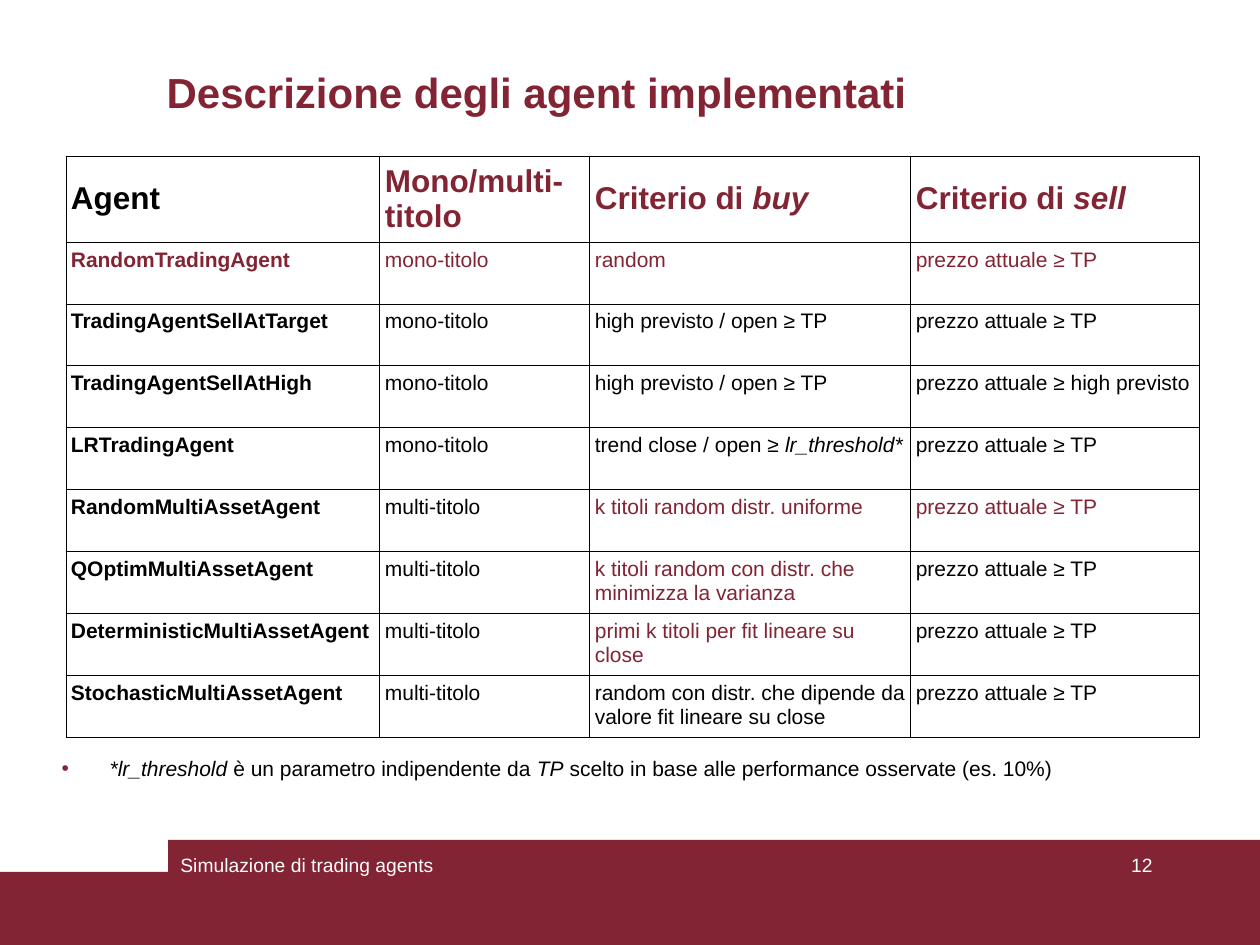
from lxml import etree
from pptx import Presentation
from pptx.dml.color import RGBColor
from pptx.enum.shapes import MSO_SHAPE
from pptx.enum.text import MSO_ANCHOR, MSO_AUTO_SIZE, PP_ALIGN
from pptx.oxml.ns import qn
from pptx.util import Emu, Pt

RECTANGLE = MSO_SHAPE.RECTANGLE
TOP, MIDDLE = MSO_ANCHOR.TOP, MSO_ANCHOR.MIDDLE
LEFT, RIGHT = PP_ALIGN.LEFT, PP_ALIGN.RIGHT
MAROON = RGBColor(0x82, 0x24, 0x33)
BLACK = RGBColor(0, 0, 0)
WHITE = RGBColor(255, 255, 255)

# Content: a bar switches between upright and italic text
TITLE = "Descrizione degli agent implementati"
HEADER = ["Agent", "Mono/multi-titolo", "Criterio di |buy", "Criterio di |sell"]
MONO, MULTI, AT_TARGET = "mono-titolo", "multi-titolo", "prezzo attuale ≥ TP"
HIGH_OPEN = "high previsto / open ≥ TP"
AGENTS = [
    ["RandomTradingAgent", MONO, "random", AT_TARGET],
    ["TradingAgentSellAtTarget", MONO, HIGH_OPEN, AT_TARGET],
    ["TradingAgentSellAtHigh", MONO, HIGH_OPEN, "prezzo attuale ≥ high previsto"],
    ["LRTradingAgent", MONO, "trend close / open ≥ |lr_threshold*", AT_TARGET],
    ["RandomMultiAssetAgent", MULTI, "k titoli random distr. uniforme", AT_TARGET],
    ["QOptimMultiAssetAgent", MULTI,
     "k titoli random con distr. che minimizza la varianza", AT_TARGET],
    ["DeterministicMultiAssetAgent", MULTI,
     "primi k titoli per fit lineare su close", AT_TARGET],
    ["StochasticMultiAssetAgent", MULTI,
     "random con distr. che dipende da valore fit lineare su close", AT_TARGET],
]
MAROON_COLUMNS = {0: (1, 2, 3), 1: (0, 1, 2, 3), 5: (2, 3), 6: (2,), 7: (2,)}
NOTE = ("|*lr_threshold| è un parametro indipendente da |TP"
        "| scelto in base alle performance osservate (es. 10%)")

# Geometry in px
COLUMN_WIDTHS = [314, 210, 321, 289]
HEADER_HEIGHT, AGENT_HEIGHT = 86, 62
BANDS = [(0, 872, 1260, 73), (168, 840, 1092, 105)]
FOOTERS = [("Simulazione di trading agents", (168, 847, 399, 63), LEFT),
           ("12", (903, 847, 262, 63), RIGHT)]


def px(length):
    return Emu(round(length * 914400 / 126))


def place(shape, box):
    for side, length in zip(("left", "top", "width", "height"), box):
        setattr(shape, side, px(length))


def write(frame, text, size, color, bold=False, align=LEFT):
    paragraph = frame.paragraphs[0]
    paragraph.alignment = align
    for index, part in enumerate(text.split("|")):
        if not part:
            continue
        run = paragraph.add_run()
        run.text = part
        style = {"name": "Arial", "size": Pt(size), "bold": bold,
                 "italic": index % 2 == 1}
        for name, value in style.items():
            setattr(run.font, name, value)
        run.font.color.rgb = color


def add_borders(cell):
    properties = cell._tc.get_or_add_tcPr()
    for edge in ("a:lnL", "a:lnR", "a:lnT", "a:lnB"):
        line = etree.SubElement(properties, qn(edge), w=str(Pt(0.57)))
        fill = etree.SubElement(line, qn("a:solidFill"))
        etree.SubElement(fill, qn("a:srgbClr"), val=str(BLACK))


prs = Presentation()
prs.slide_width, prs.slide_height = px(1260), px(945)
slide = prs.slides.add_slide(prs.slide_layouts[1])
title, note = slide.placeholders

# Footer bands
for box in BANDS:
    band = slide.shapes.add_shape(RECTANGLE, *map(px, box))
    band.shadow.inherit = False
    band.fill.solid()
    band.fill.fore_color.rgb = MAROON
    band.line.fill.background()

# Title
place(title, (154, 57, 1022, 69))
title.text_frame.vertical_anchor = MIDDLE
write(title.text_frame, TITLE, 24, MAROON, bold=True)

# Table of agents
rows = [HEADER] + AGENTS
table_height = HEADER_HEIGHT + AGENT_HEIGHT * len(AGENTS)
table = slide.shapes.add_table(
    len(rows), len(HEADER), px(66), px(156), px(sum(COLUMN_WIDTHS)), px(table_height)).table
table.first_row = table.horz_banding = False
for column, width in zip(table.columns, COLUMN_WIDTHS):
    column.width = px(width)
for r, row in enumerate(rows):
    is_header = r == 0
    table.rows[r].height = px(HEADER_HEIGHT if is_header else AGENT_HEIGHT)
    for c, text in enumerate(row):
        cell = table.cell(r, c)
        cell.margin_left = cell.margin_right = px(5)
        cell.margin_top = cell.margin_bottom = px(6)
        cell.vertical_anchor = MIDDLE if is_header else TOP
        add_borders(cell)
        cell.fill.background()
        color = MAROON if c in MAROON_COLUMNS.get(r, ()) else BLACK
        write(cell.text_frame, text, 18 if is_header else 12, color,
              bold=is_header or c == 0)

# Note below the table
place(note, (49, 749, 1066, 49))
note.text_frame.auto_size = MSO_AUTO_SIZE.NONE
paragraph = note.text_frame.paragraphs[0]
bullet = paragraph._p.get_or_add_pPr()
bullet.set("marL", str(px(48)))
bullet.set("indent", str(px(-48)))
bullet_color = etree.SubElement(bullet, qn("a:buClr"))
etree.SubElement(bullet_color, qn("a:srgbClr"), val=str(MAROON))
etree.SubElement(bullet, qn("a:buChar"), char="•")
paragraph.space_before = Pt(0)
write(note.text_frame, NOTE, 12, BLACK)

# Footer text and page number
for text, box, align in FOOTERS:
    footer = slide.shapes.add_textbox(*map(px, box))
    footer.text_frame.word_wrap = True
    write(footer.text_frame, text, 11, WHITE, align=align)

prs.save("out.pptx")
